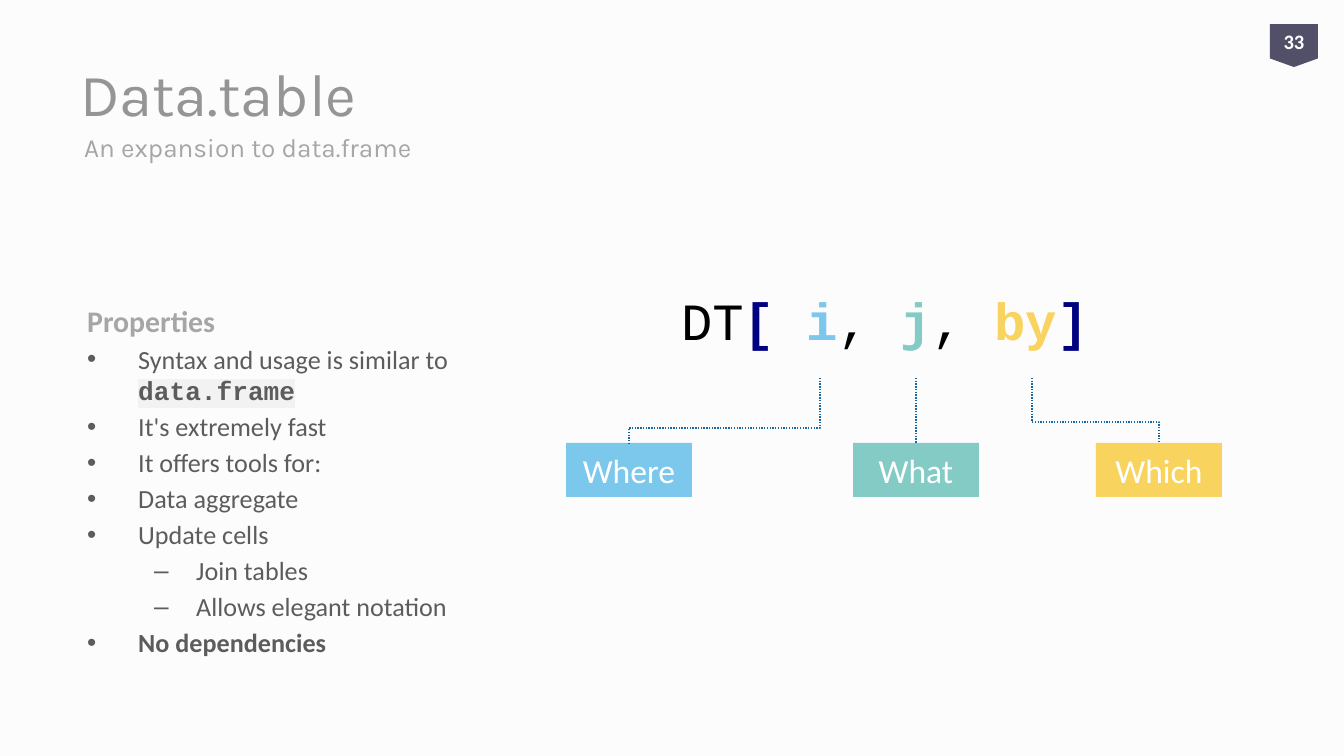
from lxml import etree
from pptx import Presentation
from pptx.dml.color import RGBColor
from pptx.enum.dml import MSO_LINE
from pptx.enum.shapes import MSO_CONNECTOR as CONN, MSO_SHAPE as SHAPE
from pptx.enum.text import MSO_ANCHOR as ANCHOR, PP_ALIGN as ALIGN
from pptx.oxml.ns import qn
from pptx.util import Pt

PX = 914400 / 134.4  # EMU in one px

PAPER = RGBColor(0xFC, 0xFC, 0xFC)
WHITE = RGBColor(0xFF, 0xFF, 0xFF)
BLACK = RGBColor(0x00, 0x00, 0x00)
TITLE_GREY = RGBColor(0x95, 0x95, 0x95)
LIGHT_GREY = RGBColor(0xA6, 0xA6, 0xA6)
TEXT_GREY = RGBColor(0x5C, 0x5C, 0x5C)
CODE_BACK = RGBColor(0xF2, 0xF2, 0xF2)
PLUM = RGBColor(0x52, 0x50, 0x68)
NAVY = RGBColor(0x00, 0x00, 0x80)
LINE_BLUE = RGBColor(0x17, 0x68, 0xA3)
SKY = RGBColor(0x7C, 0xC8, 0xEC)
TEAL = RGBColor(0x84, 0xCB, 0xC5)
YELLOW = RGBColor(0xF8, 0xD3, 0x5E)

SANS, MONO, HEAD = "Calibri", "Courier New", "Karla"

HEADINGS = [  # text, left, top, width, height, size, colour
    ("An expansion to data.frame", 71, 120, 1210, 54, 14, LIGHT_GREY),
    ("Data.table", 67, 54, 1210, 78, 32, TITLE_GREY),
]
PROPERTIES = [  # level, plain text, code text, bold
    (0, "Syntax and usage is similar to ", "data.frame", False),
    (0, "It's extremely fast", "", False),
    (0, "It offers tools for:", "", False),
    (0, "Data aggregate", "", False),
    (0, "Update cells", "", False),
    (1, "Join tables", "", False),
    (1, "Allows elegant notation", "", False),
    (0, "No dependencies", "", True),
]
BULLETS = [("•", 51, 51), ("–", 109, 42)]  # sign, text indent, hang
CODE = [  # text, colour, bold
    ("DT", BLACK, False), ("[ ", NAVY, True), ("i", SKY, True),
    (", ", BLACK, False), ("j", TEAL, True), (", ", BLACK, False),
    ("by", YELLOW, True), ("]", NAVY, True),
]
BOX_TOP, BOX_W, BOX_H = 443, 126, 54
PARTS = [  # label, colour, box left, line start x, y, height of the bend
    ("Where", SKY, 566, 820, 378, 428),
    ("What", TEAL, 853, 916, 378, None),
    ("Which", YELLOW, 1096, 1032, 378, 422),
]


def px(*values):
    return [round(v * PX) for v in values]


def style(font, size, color, name=SANS, bold=False):
    font.size, font.name, font.bold = Pt(size), name, bold
    font.color.rgb = color


def add_text(left, top, width, height, wrap=True):
    tf = slide.shapes.add_textbox(*px(left, top, width, height)).text_frame
    tf.word_wrap = wrap
    return tf


def add_block(kind, left, top, width, height, fill, text, size, bold=False):
    sp = slide.shapes.add_shape(kind, *px(left, top, width, height))
    sp.shadow.inherit = False
    sp.fill.solid()
    sp.fill.fore_color.rgb = fill
    sp.line.fill.background()
    tf = sp.text_frame
    tf.margin_left = tf.margin_right = tf.margin_top = tf.margin_bottom = 0
    tf.vertical_anchor = ANCHOR.MIDDLE
    p = tf.paragraphs[0]
    p.text, p.alignment = text, ALIGN.CENTER
    style(p.font, size, WHITE, bold=bold)
    return sp


def add_dotted(kind, x1, y1, x2, y2):
    line = slide.shapes.add_connector(kind, *px(x1, y1, x2, y2))
    line.line.color.rgb = LINE_BLUE
    line.line.width = Pt(0.75)
    line.line.dash_style = MSO_LINE.ROUND_DOT
    etree.SubElement(line._element.spPr, qn("a:effectLst"))
    return line


def add_bent(x1, y1, x2, y2, bend_y):
    """Elbow that leaves downwards: laid on its side, then turned by 90°."""
    cx, cy = (x1 + x2) / 2, (y1 + y2) / 2
    dx, dy = (x2 - x1) / 2, (y2 - y1) / 2
    line = add_dotted(CONN.ELBOW, cx - dy, cy + dx, cx + dy, cy - dx)
    pr = line._element.spPr
    pr.find(qn("a:xfrm")).set("rot", "5400000")
    guides = pr.find(qn("a:prstGeom")).get_or_add_avLst()
    share = round((bend_y - y1) / (y2 - y1) * 100000)
    etree.SubElement(guides, qn("a:gd"), name="adj1", fmla=f"val {share}")


def add_bullet(p, level):
    sign, indent, hang = BULLETS[level]
    pr = p._p.get_or_add_pPr()
    left, first = px(indent, -hang)
    pr.set("marL", str(left))
    pr.set("indent", str(first))
    etree.SubElement(pr, qn("a:buFont"), typeface="Arial")
    etree.SubElement(pr, qn("a:buChar"), char=sign)


def highlight(run, color):
    mark = etree.Element(qn("a:highlight"))
    etree.SubElement(mark, qn("a:srgbClr"), val=str(color))
    run.font._element.find(qn("a:solidFill")).addnext(mark)


prs = Presentation()
prs.slide_width, prs.slide_height = px(1344, 756)
slide = prs.slides.add_slide(prs.slide_layouts[6])
slide.background.fill.solid()
slide.background.fill.fore_color.rgb = PAPER

for text, left, top, width, height, size, color in HEADINGS:
    tf = add_text(left, top, width, height)
    tf.vertical_anchor = ANCHOR.MIDDLE
    p = tf.paragraphs[0]
    p.text = text
    style(p.font, size, color, HEAD)

add_block(SHAPE.FLOWCHART_OFFPAGE_CONNECTOR, 1270, 24, 48, 43, PLUM, "33", 11, True)

tf = add_text(74, 296, 461, 407)
p = tf.paragraphs[0]
p.text = "Properties"
style(p.font, 16, LIGHT_GREY, bold=True)
for level, text, code, bold in PROPERTIES:
    p = tf.add_paragraph()
    p.space_before = Pt(2.5)
    add_bullet(p, level)
    r = p.add_run()
    r.text = text
    style(r.font, 14, TEXT_GREY, bold=bold)
    if code:
        r = p.add_run()
        r.text = code
        style(r.font, 14, TEXT_GREY, MONO, True)
        highlight(r, CODE_BACK)

p = add_text(668, 282, 438, 77, wrap=False).paragraphs[0]
for text, color, bold in CODE:
    r = p.add_run()
    r.text = text
    style(r.font, 28, color, MONO, bold)

for label, color, left, x, y, bend_y in PARTS:
    box = add_block(SHAPE.RECTANGLE, left, BOX_TOP, BOX_W, BOX_H, color, label, 18)
    middle = left + BOX_W / 2
    if bend_y:
        add_bent(x, y, middle, BOX_TOP, bend_y)
    else:
        add_dotted(CONN.STRAIGHT, x, y, middle, BOX_TOP).end_connect(box, 0)

prs.save("out.pptx")
